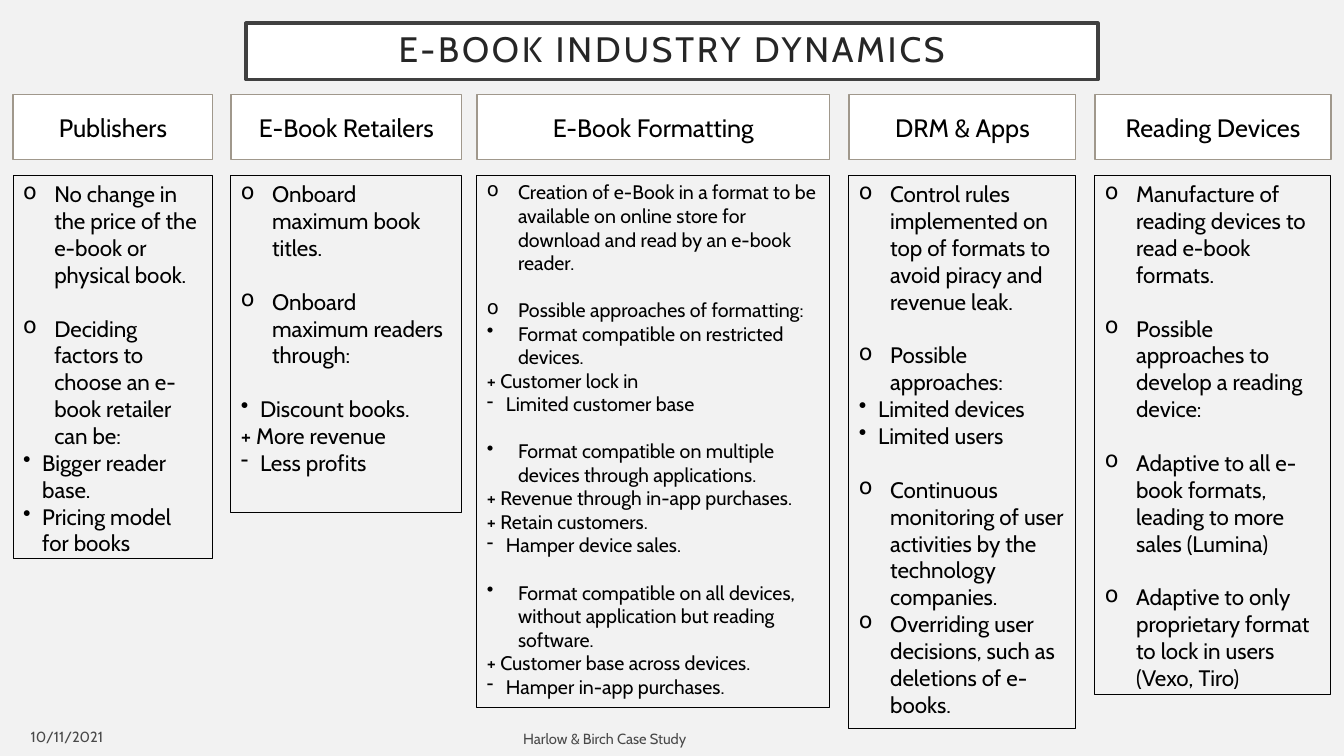
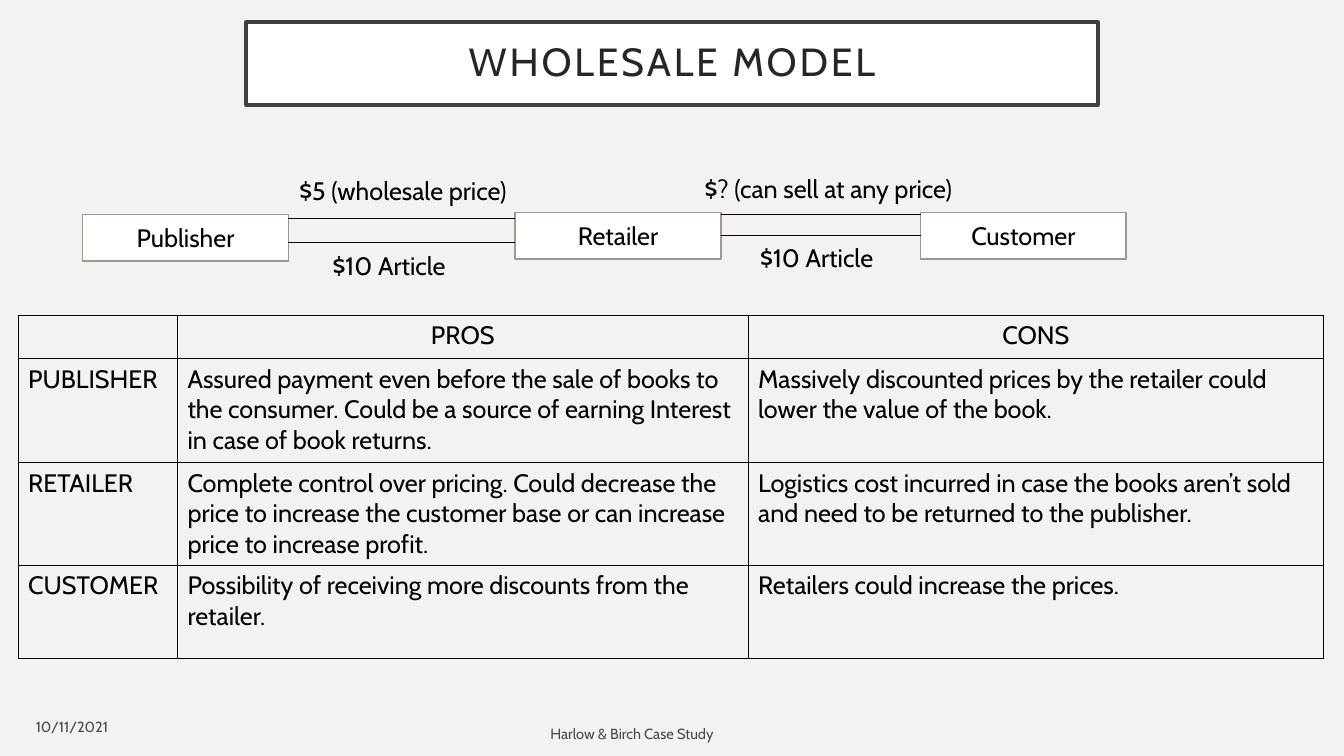
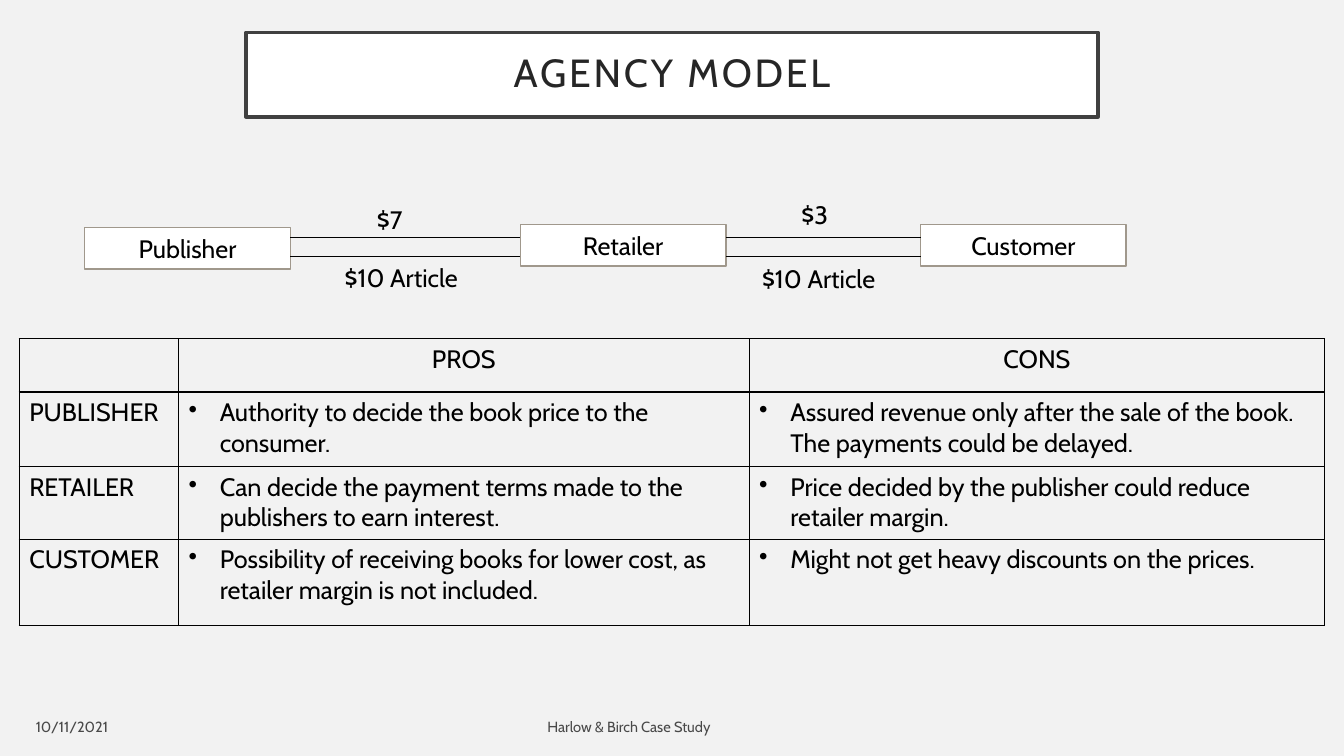
from lxml.etree import SubElement
from pptx import Presentation
from pptx.dml.color import RGBColor
from pptx.enum.shapes import MSO_CONNECTOR, MSO_SHAPE
from pptx.enum.text import MSO_ANCHOR, MSO_AUTO_SIZE, PP_ALIGN
from pptx.oxml.ns import qn
from pptx.util import Inches, Pt

FONT = "Cabin"
COLORS = {
    "background": "F2F2F2",
    "card": "FFFFFF",
    "card_edge": "A0988C",
    "title_edge": "404040",
    "title": "262626",
    "text": "000000",
    "footer": "494949",
}
MARKERS = {
    "main": ("o", 0.31),
    "option": ("•", 0.31),
    "point": ("•", 0.19),
    "con": ("-", 0.19),
}
HEADING_TOP, HEADING_HEIGHT, DETAIL_TOP = 0.94, 0.64, 1.74
PARTY_WIDTH, CAPTION_HEIGHT = 2.04, 0.4
TABLE_COLUMNS = (1.58, 5.66, 5.71)
LINE_HEIGHT = 1.2

INDUSTRY = [
    ("Publishers", 0.13, 1.98, 3.8, 16, [
        [("main", "No change in the price of the e-book or physical book.")],
        [("main", "Deciding factors to choose an e-book retailer can be:"),
         ("point", "Bigger reader base."),
         ("point", "Pricing model for books")],
    ]),
    ("E-Book Retailers", 2.29, 2.29, 3.34, 16, [
        [("main", "Onboard maximum book titles.")],
        [("main", "Onboard maximum readers through:")],
        [("point", "Discount books."),
         ("pro", "+ More revenue"),
         ("con", "Less profits")],
    ]),
    ("E-Book Formatting", 4.73, 3.5, 5.28, 14, [
        [("main", "Creation of e-Book in a format to be available on online store "
                  "for download and read by an e-book reader.")],
        [("main", "Possible approaches of formatting:"),
         ("option", "Format compatible on restricted devices."),
         ("pro", "+ Customer lock in"),
         ("con", "Limited customer base")],
        [("option", "Format compatible on multiple devices through applications."),
         ("pro", "+ Revenue through in-app purchases."),
         ("pro", "+ Retain customers."),
         ("con", "Hamper device sales.")],
        [("option", "Format compatible on all devices, without application but "
                    "reading software."),
         ("pro", "+ Customer base across devices."),
         ("con", "Hamper in-app purchases.")],
    ]),
    ("DRM & Apps", 8.42, 2.25, 5.49, 16, [
        [("main", "Control rules implemented on top of formats to avoid piracy and "
                  "revenue leak.")],
        [("main", "Possible approaches:"),
         ("point", "Limited devices"),
         ("point", "Limited users")],
        [("main", "Continuous monitoring of user activities by the technology "
                  "companies."),
         ("main", "Overriding user decisions, such as deletions of e-books.")],
    ]),
    ("Reading Devices", 10.86, 2.34, 5.15, 16, [
        [("main", "Manufacture of reading devices to read e-book formats.")],
        [("main", "Possible approaches to develop a reading device:")],
        [("main", "Adaptive to all e-book formats, leading to more sales (Lumina)")],
        [("main", "Adaptive to only proprietary format to lock in users "
                  "(Vexo, Tiro)")],
    ]),
]

WHOLESALE_TABLE = [
    ("", "PROS", "CONS"),
    ("PUBLISHER",
     "Assured payment even before the sale of books to the consumer. Could be a "
     "source of earning Interest in case of book returns.",
     "Massively discounted prices by the retailer could lower the value of the book."),
    ("RETAILER",
     "Complete control over pricing. Could decrease the price to increase the "
     "customer base or can increase price to increase profit.",
     "Logistics cost incurred in case the books aren’t sold and need to be returned "
     "to the publisher."),
    ("CUSTOMER",
     "Possibility of receiving more discounts from the retailer.",
     "Retailers could increase the prices."),
]

AGENCY_TABLE = [
    ("", "PROS", "CONS"),
    ("PUBLISHER",
     "Authority to decide the book price to the consumer.",
     "Assured revenue only after the sale of the book. The payments could be delayed."),
    ("RETAILER",
     "Can decide the payment terms made to the publishers to earn interest.",
     "Price decided by the publisher could reduce retailer margin."),
    ("CUSTOMER",
     "Possibility of receiving books for lower cost, as retailer margin is not "
     "included.",
     "Might not get heavy discounts on the prices."),
]


def color(name):
    """Return the palette colour of that name."""
    return RGBColor.from_string(COLORS[name])


def add_run(paragraph, text, size, ink="text"):
    """Add one formatted run to a paragraph."""
    run = paragraph.add_run()
    run.text = text
    run.font.name = FONT
    run.font.size = Pt(size)
    run.font.color.rgb = color(ink)
    return run


def set_marker(paragraph, kind):
    """Give a paragraph the hanging bullet of its kind, if it has one."""
    if kind not in MARKERS:
        return
    sign, indent = MARKERS[kind]
    properties = paragraph._p.get_or_add_pPr()
    properties.set("marL", str(Inches(indent)))
    properties.set("indent", str(-Inches(indent)))
    SubElement(properties, qn("a:buChar")).set("char", sign)


def add_label(slide, text, left, top, width, height, size=18, ink="text",
              align=PP_ALIGN.LEFT, anchor=MSO_ANCHOR.TOP):
    """Add a line of free text."""
    label = slide.shapes.add_textbox(
        Inches(left), Inches(top), Inches(width), Inches(height))
    frame = label.text_frame
    frame.word_wrap = True
    frame.vertical_anchor = anchor
    frame.paragraphs[0].alignment = align
    add_run(frame.paragraphs[0], text, size, ink)


def add_box(slide, left, top, width, height, edge, weight, fill=None):
    """Add a flat rectangle with an outline."""
    box = slide.shapes.add_shape(
        MSO_SHAPE.RECTANGLE, Inches(left), Inches(top), Inches(width), Inches(height))
    box.shadow.inherit = False
    if fill:
        box.fill.solid()
        box.fill.fore_color.rgb = color(fill)
    else:
        box.fill.background()
    box.line.color.rgb = color(edge)
    box.line.width = Pt(weight)
    box.text_frame.word_wrap = True
    return box


def add_card(slide, text, left, top, width, height):
    """Add a white card with a centred caption."""
    card = add_box(slide, left, top, width, height, "card_edge", 1, "card")
    card.text_frame.vertical_anchor = MSO_ANCHOR.MIDDLE
    paragraph = card.text_frame.paragraphs[0]
    paragraph.alignment = PP_ALIGN.CENTER
    add_run(paragraph, text, 18)
    return card


def add_details(slide, groups, left, width, height, size):
    """Add an outlined list whose groups stand one line apart."""
    details = add_box(slide, left, DETAIL_TOP, width, height, "text", 0.75)
    frame = details.text_frame
    frame.vertical_anchor = MSO_ANCHOR.TOP
    frame.auto_size = MSO_AUTO_SIZE.SHAPE_TO_FIT_TEXT
    for group_index, group in enumerate(groups):
        for item_index, (kind, text) in enumerate(group):
            first = group_index == item_index == 0
            paragraph = frame.paragraphs[0] if first else frame.add_paragraph()
            paragraph.alignment = PP_ALIGN.LEFT
            if group_index and not item_index:
                paragraph.space_before = Pt(size * LINE_HEIGHT)
            set_marker(paragraph, kind)
            add_run(paragraph, text, size)


def add_flow(slide, giver, taker, height=None):
    """Draw a line between two cards, joined at their middles if no height is given."""
    start, end = giver.left + giver.width, taker.left
    level = Inches(height or 0)
    flow = slide.shapes.add_connector(MSO_CONNECTOR.STRAIGHT, start, level, end, level)
    if height is None:
        flow.begin_connect(giver, 3)
        flow.end_connect(taker, 1)
    flow.line.color.rgb = color("text")
    flow.line.width = Pt(0.5)
    SubElement(flow._element.spPr, qn("a:effectLst"))


def add_chain(slide, parties, height, flows, captions):
    """Draw the parties of a sales model with their flows and captions."""
    cards = [add_card(slide, name, left, top, PARTY_WIDTH, height)
             for name, left, top in parties]
    for giver, taker, levels in zip(cards, cards[1:], flows):
        for level in levels:
            add_flow(slide, giver, taker, level)
    for text, left, top, width in captions:
        add_label(slide, text, left, top, width, CAPTION_HEIGHT)


def outline_cell(cell):
    """Draw the four borders of a cell and clear its fill."""
    properties = cell._tc.get_or_add_tcPr()
    for side in ("a:lnL", "a:lnR", "a:lnT", "a:lnB"):
        border = SubElement(properties, qn(side), w=str(Pt(1)))
        paint = SubElement(border, qn("a:solidFill"))
        SubElement(paint, qn("a:srgbClr"), val=COLORS["text"])
    cell.fill.background()


def add_comparison(slide, rows, left, top, heights, marker=None):
    """Add the table of pros and cons."""
    comparison = slide.shapes.add_table(
        len(rows), len(TABLE_COLUMNS), Inches(left), Inches(top),
        Inches(sum(TABLE_COLUMNS)), Inches(sum(heights))).table
    comparison.first_row = False
    comparison.horz_banding = False
    for column, width in zip(comparison.columns, TABLE_COLUMNS):
        column.width = Inches(width)
    for row_index, (texts, height) in enumerate(zip(rows, heights)):
        comparison.rows[row_index].height = Inches(height)
        for column_index, text in enumerate(texts):
            cell = comparison.cell(row_index, column_index)
            outline_cell(cell)
            if not text:
                continue
            paragraph = cell.text_frame.paragraphs[0]
            if row_index == 0:
                paragraph.alignment = PP_ALIGN.CENTER
            elif column_index:
                set_marker(paragraph, marker)
            add_run(paragraph, text, 18)


def add_title(slide, text, top, height, size):
    """Place and format the framed title."""
    title = slide.shapes.title
    title.left, title.top = Inches(2.44), Inches(top)
    title.width, title.height = Inches(8.45), Inches(height)
    title.fill.solid()
    title.fill.fore_color.rgb = color("card")
    title.line.color.rgb = color("title_edge")
    title.line.width = Pt(2.5)
    frame = title.text_frame
    frame.word_wrap = True
    frame.auto_size = MSO_AUTO_SIZE.NONE
    frame.vertical_anchor = MSO_ANCHOR.MIDDLE
    frame.margin_left = frame.margin_right = Inches(0.2)
    frame.margin_top = frame.margin_bottom = Inches(0.2)
    paragraph = frame.paragraphs[0]
    paragraph.alignment = PP_ALIGN.CENTER
    paragraph.line_spacing = 0.9
    run = add_run(paragraph, text, size, "title")
    run.font._element.set("spc", "200")


def new_slide(deck, title, top, height, size, date_at, footer_at):
    """Add a slide with title, date and footer."""
    slide = deck.slides.add_slide(deck.slide_layouts[5])
    add_title(slide, title, top, height, size)
    add_label(slide, "10/11/2021", *date_at, 1.02, 0.35, 10.5, "footer",
              PP_ALIGN.RIGHT, MSO_ANCHOR.MIDDLE)
    add_label(slide, "Harlow & Birch Case Study", *footer_at, 6.45, 0.35, 10.5, "footer",
              anchor=MSO_ANCHOR.MIDDLE)
    return slide


def build_industry(deck):
    """Build the slide on the five parts of the industry."""
    slide = new_slide(deck, "E-BOOK INDUSTRY DYNAMICS", 0.23, 0.56, 25.2,
                      (0.1, 7.13), (5.09, 7.15))
    for name, left, width, height, size, groups in INDUSTRY:
        add_card(slide, name, left, HEADING_TOP, width, HEADING_HEIGHT)
        add_details(slide, groups, left, width, height, size)


def build_wholesale(deck):
    """Build the slide on the wholesale model."""
    slide = new_slide(deck, "WHOLESALE MODEL", 0.22, 0.82, 28,
                      (0.15, 7.03), (5.36, 7.1))
    add_comparison(slide, WHOLESALE_TABLE, 0.18, 3.13, (0.43, 1.03, 1.02, 0.92))
    add_chain(
        slide,
        [("Publisher", 0.82, 2.13), ("Retailer", 5.11, 2.11), ("Customer", 9.13, 2.11)],
        0.46,
        [(2.17, 2.4), (2.13, None)],
        [("$5 (wholesale price)", 2.87, 1.69, 2.46),
         ("$10 Article", 3.2, 2.43, 2.13),
         ("$? (can sell at any price)", 6.89, 1.67, 3.01),
         ("$10 Article", 7.44, 2.36, 1.41)])


def build_agency(deck):
    """Build the slide on the agency model."""
    slide = new_slide(deck, "AGENCY MODEL", 0.32, 0.84, 28,
                      (0.15, 7.03), (5.33, 7.03))
    add_comparison(slide, AGENCY_TABLE, 0.19, 3.36, (0.53, 0.74, 0.72, 0.86), "option")
    add_chain(
        slide,
        [("Publisher", 0.84, 2.26), ("Retailer", 5.16, 2.23), ("Customer", 9.13, 2.23)],
        0.41,
        [(2.35, 2.54)] * 2,
        [("$7", 3.64, 1.98, 0.92),
         ("$10 Article", 3.32, 2.55, 1.41),
         ("$3", 7.85, 1.93, 0.92),
         ("$10 Article", 7.46, 2.56, 1.41)])


def main():
    """Build and save the deck."""
    deck = Presentation()
    deck.slide_width, deck.slide_height = Inches(13.33), Inches(7.5)
    backdrop = deck.slide_master.background.fill
    backdrop.solid()
    backdrop.fore_color.rgb = color("background")
    build_industry(deck)
    build_wholesale(deck)
    build_agency(deck)
    deck.save("out.pptx")


if __name__ == "__main__":
    main()
